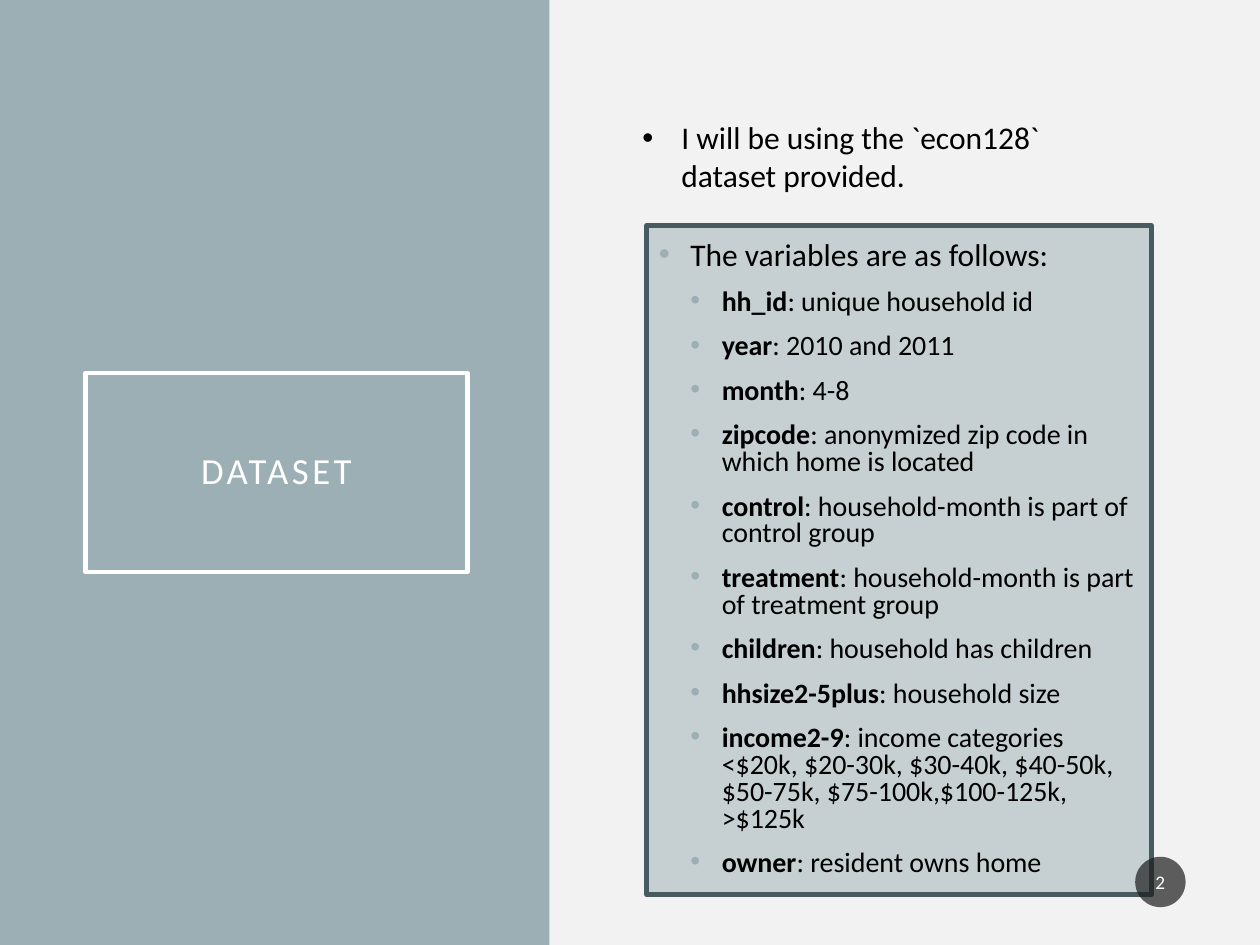
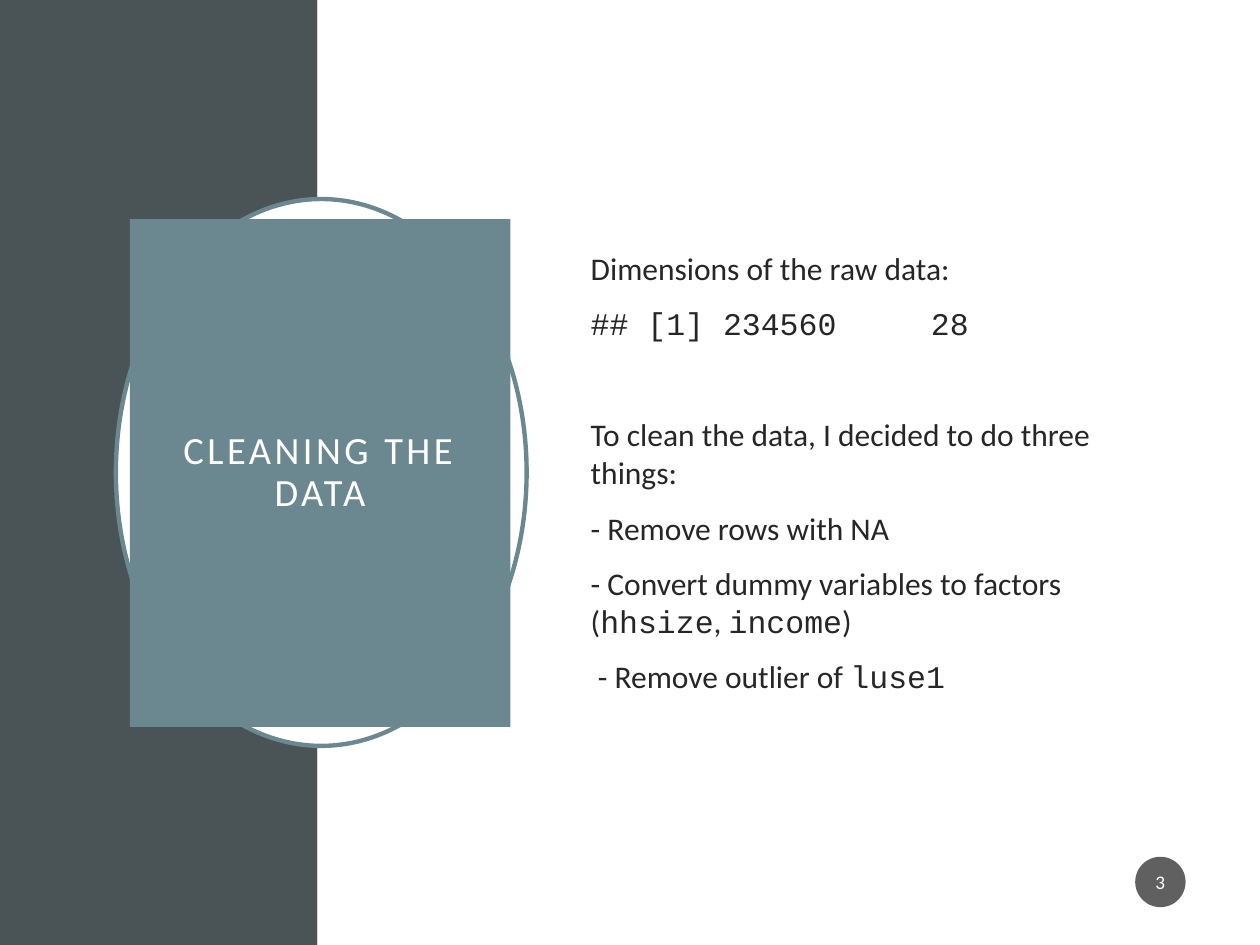
from lxml import etree
from pptx import Presentation
from pptx.dml.color import RGBColor
from pptx.enum.shapes import MSO_SHAPE
from pptx.enum.text import MSO_ANCHOR, PP_ALIGN
from pptx.oxml.ns import qn
from pptx.util import Inches, Pt

RECTANGLE, OVAL = MSO_SHAPE.RECTANGLE, MSO_SHAPE.OVAL
TOP, MIDDLE = MSO_ANCHOR.TOP, MSO_ANCHOR.MIDDLE
LEFT, CENTER = PP_ALIGN.LEFT, PP_ALIGN.CENTER

COLORS = {
    "mist": "9BAFB5",
    "teal": "6B8891",
    "slate": "4A5356",
    "border": "475B61",
    "panel": "F2F2F2",
    "badge": "1D1D1D",
    "ink": "262626",
    "black": "000000",
    "white": "FFFFFF",
}
BODY_FONT, CODE_FONT = "Calibri", "Courier New"
SLIDE_WIDTH, SLIDE_HEIGHT = 10, 7.5
TITLE_STYLE = {"color": "white", "align": CENTER, "anchor": MIDDLE,
               "line_spacing": 0.9, "letter_spacing": 2, "insets": (0.2, 0.2)}
BADGE_STYLE = {"size": 11, "color": "white", "align": CENTER,
               "anchor": MIDDLE, "insets": (0.02, 0.05)}


def add_box(slide, kind, left, top, width, height, fill=None, line=None, opacity=100):
    shape = slide.shapes.add_shape(
        kind, Inches(left), Inches(top), Inches(width), Inches(height))
    shape.shadow.inherit = False
    if fill:
        shape.fill.solid()
        shape.fill.fore_color.rgb = RGBColor.from_string(COLORS[fill])
        if opacity < 100:
            color = shape.fill._xPr.find(".//" + qn("a:srgbClr"))
            etree.SubElement(color, qn("a:alpha"), val=str(opacity * 1000))
    else:
        shape.fill.background()
    if line:
        shape.line.color.rgb = RGBColor.from_string(COLORS[line])
        shape.line.width = Pt(2.5)
    else:
        shape.line.fill.background()
    return shape


def write_text(shape, paragraphs, size=18, color="black", align=LEFT, anchor=TOP,
               line_spacing=1.0, space_before=0, letter_spacing=0,
               insets=(0.1, 0.05), bullet_color=None, indent=0.25):
    """Each paragraph is a dict of "runs" (text, font, bold) and its own settings."""
    frame = shape.text_frame
    frame.word_wrap = True
    frame.vertical_anchor = anchor
    frame.margin_left = frame.margin_right = Inches(insets[0])
    frame.margin_top = frame.margin_bottom = Inches(insets[1])
    for index, content in enumerate(paragraphs):
        paragraph = frame.add_paragraph() if index else frame.paragraphs[0]
        paragraph.alignment = align
        paragraph.line_spacing = line_spacing
        paragraph.space_before = Pt(content.get("space_before", space_before))
        paragraph.level = content.get("level", 0)
        properties = paragraph._p.get_or_add_pPr()
        if bullet_color:
            properties.set("marL", str(Inches(indent * (paragraph.level + 1))))
            properties.set("indent", str(-Inches(indent)))
            bullet = etree.SubElement(properties, qn("a:buClr"))
            etree.SubElement(bullet, qn("a:srgbClr"), val=COLORS[bullet_color])
            etree.SubElement(properties, qn("a:buFont"), typeface="Arial")
            etree.SubElement(properties, qn("a:buChar"), char="•")
        if "tab" in content:
            tabs = etree.SubElement(properties, qn("a:tabLst"))
            etree.SubElement(tabs, qn("a:tab"), pos=str(Inches(content["tab"])), algn="l")
        for text, font, bold in content["runs"]:
            run = paragraph.add_run()
            run.text = text
            run.font.name = font
            run.font.bold = bold
            run.font.size = Pt(content.get("size", size))
            run.font.color.rgb = RGBColor.from_string(COLORS[color])
            if letter_spacing:
                run._r.get_or_add_rPr().set("spc", str(letter_spacing * 100))


presentation = Presentation()
presentation.slide_width = Inches(SLIDE_WIDTH)
presentation.slide_height = Inches(SLIDE_HEIGHT)
blank_layout = presentation.slide_layouts[6]

# Backgrounds and side bands: background, band colour, content panel, band width
slides = []
for background, band, panel, band_width in [
    ("mist", None, "panel", 4.36),
    ("white", "slate", "white", 2.52),
]:
    slide = presentation.slides.add_slide(blank_layout)
    slide.background.fill.solid()
    slide.background.fill.fore_color.rgb = RGBColor.from_string(COLORS[background])
    if band:
        add_box(slide, RECTANGLE, 0, 0, band_width, SLIDE_HEIGHT, fill=band)
    add_box(slide, RECTANGLE, band_width, 0, SLIDE_WIDTH - band_width, SLIDE_HEIGHT,
            fill=panel)
    slides.append(slide)
dataset_slide, cleaning_slide = slides

# Dataset
title = add_box(dataset_slide, RECTANGLE, 0.68, 2.96, 3.03, 1.58, line="white")
write_text(title, [{"runs": [("DATASET", BODY_FONT, False)]}], size=21, **TITLE_STYLE)

variables = [
    ("hh_id", "unique household id"),
    ("year", "2010 and 2011"),
    ("month", "4-8"),
    ("zipcode", "anonymized zip code in which home is located"),
    ("control", "household-month is part of control group"),
    ("treatment", "household-month is part of treatment group"),
    ("children", "household has children"),
    ("hhsize2-5plus", "household size"),
    ("income2-9", "income categories <$20k, $20-30k, $30-40k, $40-50k, "
                  "$50-75k, $75-100k,$100-125k, >$125k"),
    ("owner", "resident owns home"),
]
variable_list = [{"runs": [("The variables are as follows:", BODY_FONT, False)]}]
for name, meaning in variables:
    variable_list.append({
        "level": 1, "size": 16,
        "runs": [(name, BODY_FONT, True), (f": {meaning}", BODY_FONT, False)],
    })
variable_box = add_box(dataset_slide, RECTANGLE, 5.13, 1.79, 4.01, 5.31,
                       fill="mist", line="border", opacity=50)
write_text(variable_box, variable_list, anchor=MIDDLE, line_spacing=0.8,
           space_before=10, bullet_color="mist")

intro = dataset_slide.shapes.add_textbox(Inches(5), Inches(0.89), Inches(4.16), Inches(1.01))
write_text(intro, [{"runs": [("I will be using the `econ128` dataset provided.",
                              BODY_FONT, False)]}],
           bullet_color="black", indent=0.31)

# Cleaning the data
add_box(cleaning_slide, OVAL, 0.92, 1.58, 3.26, 4.34, fill="white", line="teal")
title = add_box(cleaning_slide, RECTANGLE, 1.03, 1.74, 3.02, 4.03, fill="teal")
write_text(title, [{"runs": [("CLEANING THE DATA", BODY_FONT, False)]}],
           size=22, **TITLE_STYLE)

cleaning_steps = [
    {"runs": [("Dimensions of the raw data:", BODY_FONT, False)]},
    {"runs": [("## [1] 234560\t28", CODE_FONT, False)], "tab": 2.7},
    {"runs": [("To clean the data, I decided to do three things:", BODY_FONT, False)],
     "space_before": 42},
    {"runs": [("- Remove rows with NA", BODY_FONT, False)]},
    {"runs": [("- Convert dummy variables to factors (", BODY_FONT, False),
              ("hhsize", CODE_FONT, False), (", ", BODY_FONT, False),
              ("income", CODE_FONT, False), (")", BODY_FONT, False)]},
    {"runs": [(" - Remove outlier of ", BODY_FONT, False), ("luse1", CODE_FONT, False)]},
]
steps = cleaning_slide.shapes.add_textbox(
    Inches(4.59), Inches(1.53), Inches(4.36), Inches(4.43))
write_text(steps, cleaning_steps, color="ink", anchor=MIDDLE, space_before=10)

# Page numbers
for number, slide in enumerate(slides, start=2):
    badge = add_box(slide, OVAL, 9.01, 6.8, 0.4, 0.4, fill="badge", opacity=70)
    write_text(badge, [{"runs": [(str(number), BODY_FONT, False)]}], **BADGE_STYLE)

presentation.save("out.pptx")
